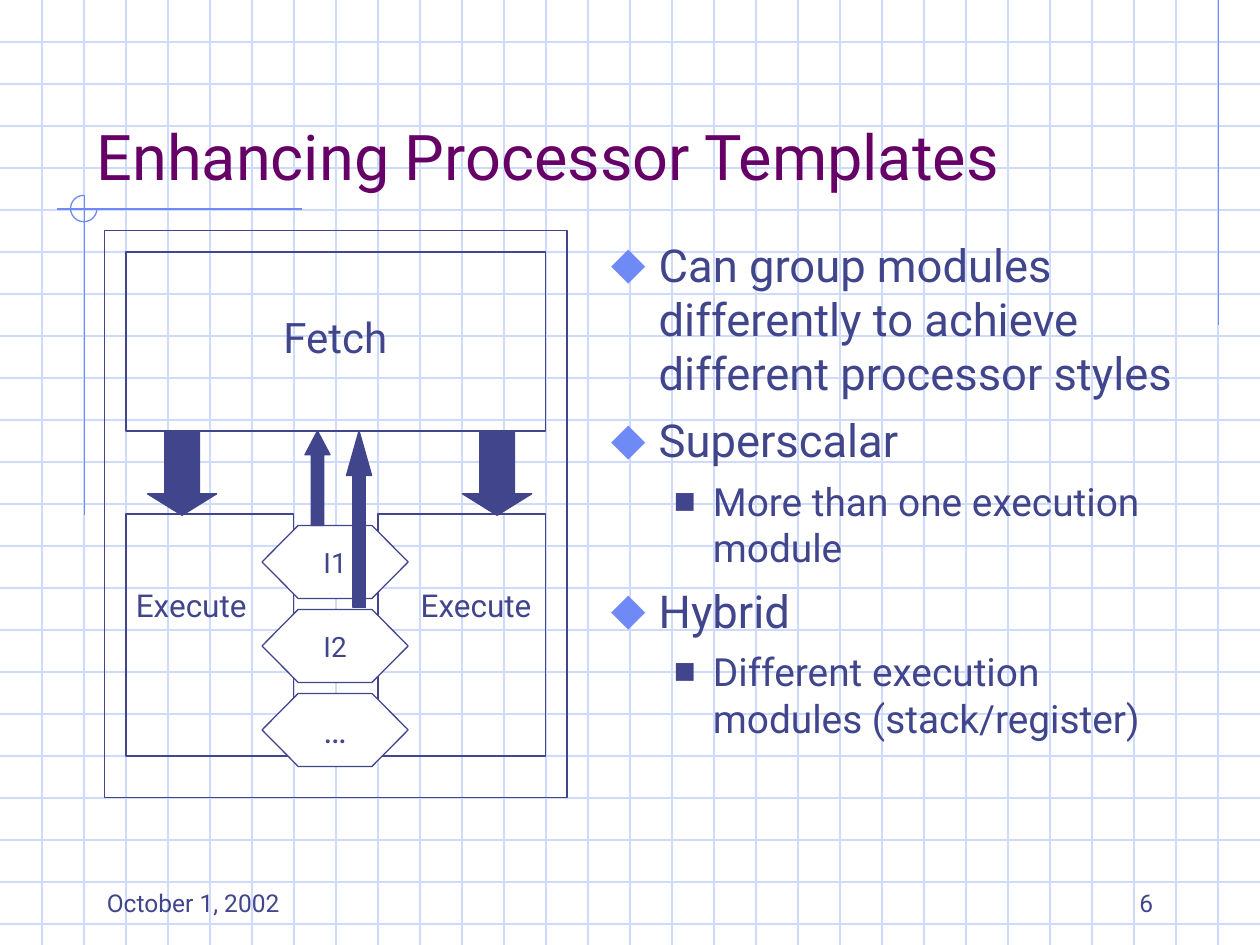
import pptx
import pptx.dml.color
import pptx.enum.shapes
import pptx.enum.text
import pptx.oxml.ns
import pptx.util
from lxml import etree

Inches = pptx.util.Inches
Pt = pptx.util.Pt
RGBColor = pptx.dml.color.RGBColor
MSO_SHAPE = pptx.enum.shapes.MSO_SHAPE
MSO_ANCHOR = pptx.enum.text.MSO_ANCHOR
PP_ALIGN = pptx.enum.text.PP_ALIGN
qn = pptx.oxml.ns.qn

INK = RGBColor(0x40, 0x45, 0x8C)
PLUM = RGBColor(0x66, 0x00, 0x66)
SKY = RGBColor(0x6F, 0x89, 0xF7)
GRID = RGBColor(0xCF, 0xDB, 0xFD)
WHITE = RGBColor(0xFF, 0xFF, 0xFF)


class SlideBuilder:
    font = "Roboto"
    line_width = Pt(0.75)
    bullets = [
        dict(char="⬥", color=SKY, percent=110, left=0.38, hang=0.38, size=25.9, before=7),
        dict(char="■", color=INK, percent=60, left=0.81, hang=0.31, size=22.2, before=6),
    ]

    def __init__(self, slide):
        self.s = slide

    def line(self, x1, y1, x2, y2, color):
        cn = self.s.shapes.add_connector(
            pptx.enum.shapes.MSO_CONNECTOR.STRAIGHT,
            Inches(x1), Inches(y1), Inches(x2), Inches(y2))
        cn.line.color.rgb = color
        cn.line.width = self.line_width
        etree.SubElement(cn._element.spPr, qn("a:effectLst"))

    def shape(self, kind, x, y, w, h, fill=None, line=INK, adj=()):
        sp = self.s.shapes.add_shape(kind, Inches(x), Inches(y), Inches(w), Inches(h))
        sp.shadow.inherit = False
        if fill is None:
            sp.fill.background()
        else:
            sp.fill.solid()
            sp.fill.fore_color.rgb = fill
        sp.line.color.rgb = line
        sp.line.width = self.line_width
        for i, value in enumerate(adj):
            sp.adjustments[i] = value
        return sp

    def run(self, p, text, size, color=INK):
        r = p.add_run()
        r.text = text
        r.font.name = self.font
        r.font.size = Pt(size)
        r.font.color.rgb = color

    def text(self, text, x, y, w, h, size, color=INK, anchor=MSO_ANCHOR.TOP,
             align=PP_ALIGN.LEFT, wrap=True):
        tf = self.frame(x, y, w, h, anchor, wrap)
        p = tf.paragraphs[0]
        p.alignment = align
        self.run(p, text, size, color)

    def frame(self, x, y, w, h, anchor=MSO_ANCHOR.TOP, wrap=True):
        tb = self.s.shapes.add_textbox(Inches(x), Inches(y), Inches(w), Inches(h))
        tf = tb.text_frame
        tf.word_wrap = wrap
        tf.vertical_anchor = anchor
        return tf

    def hexagon(self, text, x, y, w, h, size):
        sp = self.shape(MSO_SHAPE.HEXAGON, x, y, w, h, WHITE, adj=[0.495])
        tf = sp.text_frame
        tf.word_wrap = False
        tf.vertical_anchor = MSO_ANCHOR.MIDDLE
        p = tf.paragraphs[0]
        p.alignment = PP_ALIGN.CENTER
        self.run(p, text, size)

    def bullet_list(self, items, x, y, w, h):
        tf = self.frame(x, y, w, h)
        for i, (level, text) in enumerate(items):
            p = tf.add_paragraph() if i else tf.paragraphs[0]
            style = self.bullets[level]
            p.level = level
            p.space_before = Pt(style["before"])
            self.run(p, text, style["size"])
            pPr = p._p.get_or_add_pPr()
            pPr.set("marL", str(Inches(style["left"])))
            pPr.set("indent", str(-Inches(style["hang"])))
            clr = etree.SubElement(pPr, qn("a:buClr"))
            etree.SubElement(clr, qn("a:srgbClr"), val=str(style["color"]))
            etree.SubElement(pPr, qn("a:buSzPct"), val=str(style["percent"] * 1000))
            etree.SubElement(pPr, qn("a:buFont"), typeface=self.font)
            etree.SubElement(pPr, qn("a:buChar"), char=style["char"])


def draw_background(b):
    for i in range(1, 23):
        b.line(0, i / 3, 10, i / 3, GRID)
    for i in range(1, 30):
        b.line(i / 3, 0, i / 3, 7.5, GRID)
    b.line(9.67, 0, 9.67, 2.58, SKY)
    b.line(2.4, 1.66, 0.45, 1.66, SKY)
    b.line(0.67, 1.55, 0.67, 4.09, SKY)
    b.shape(MSO_SHAPE.ARC, 0.56, 1.55, 0.21, 0.21, line=SKY, adj=[0, 162])


def draw_processor(b):
    b.shape(MSO_SHAPE.RECTANGLE, 0.83, 1.83, 3.67, 4.5)
    b.shape(MSO_SHAPE.RECTANGLE, 1, 2, 3.33, 1.42)
    b.text("Fetch", 2.15, 2.42, 1.04, 0.5, 24, wrap=False)
    for box_x, label_x in [(1, 0.98), (3, 3.24)]:
        b.shape(MSO_SHAPE.RECTANGLE, box_x, 4.08, 1.33, 1.92)
        b.text("Execute", label_x, 4.6, 1.12, 0.4, 18, wrap=False)
    for i, (label, size) in enumerate([("I1", 16), ("I2", 16), ("…", 20)]):
        b.hexagon(label, 2.08, 4.17 + i * 2 / 3, 1.16, 0.58, size)
    for x in (1.17, 3.67):
        b.shape(MSO_SHAPE.DOWN_ARROW, x, 3.42, 0.55, 0.67, INK, adj=[0.5, 0.31])
    for x, h, head in [(2.42, 0.75, 0.95), (2.75, 1.4, 1.77)]:
        b.shape(MSO_SHAPE.UP_ARROW, x, 3.42, 0.2, h, INK, adj=[0.5, head])


def main():
    prs = pptx.Presentation()
    prs.slide_width = Inches(10)
    prs.slide_height = Inches(7.5)
    b = SlideBuilder(prs.slides.add_slide(prs.slide_layouts[6]))
    draw_background(b)
    b.text("Enhancing Processor Templates", 0.67, 0.33, 8.5, 1.25, 36, PLUM,
           MSO_ANCHOR.BOTTOM)
    b.bullet_list([
        (0, "Can group modules differently to achieve different processor styles"),
        (0, "Superscalar"),
        (1, "More than one execution module"),
        (0, "Hybrid"),
        (1, "Different execution modules (stack/register)"),
    ], 4.75, 1.83, 4.67, 4.92)
    draw_processor(b)
    b.text("October 1, 2002", 0.75, 6.83, 2.08, 0.5, 14, anchor=MSO_ANCHOR.BOTTOM)
    b.text("6", 7.17, 6.83, 2.08, 0.5, 14, anchor=MSO_ANCHOR.BOTTOM, align=PP_ALIGN.RIGHT)
    prs.save("out.pptx")


if __name__ == "__main__":
    main()
